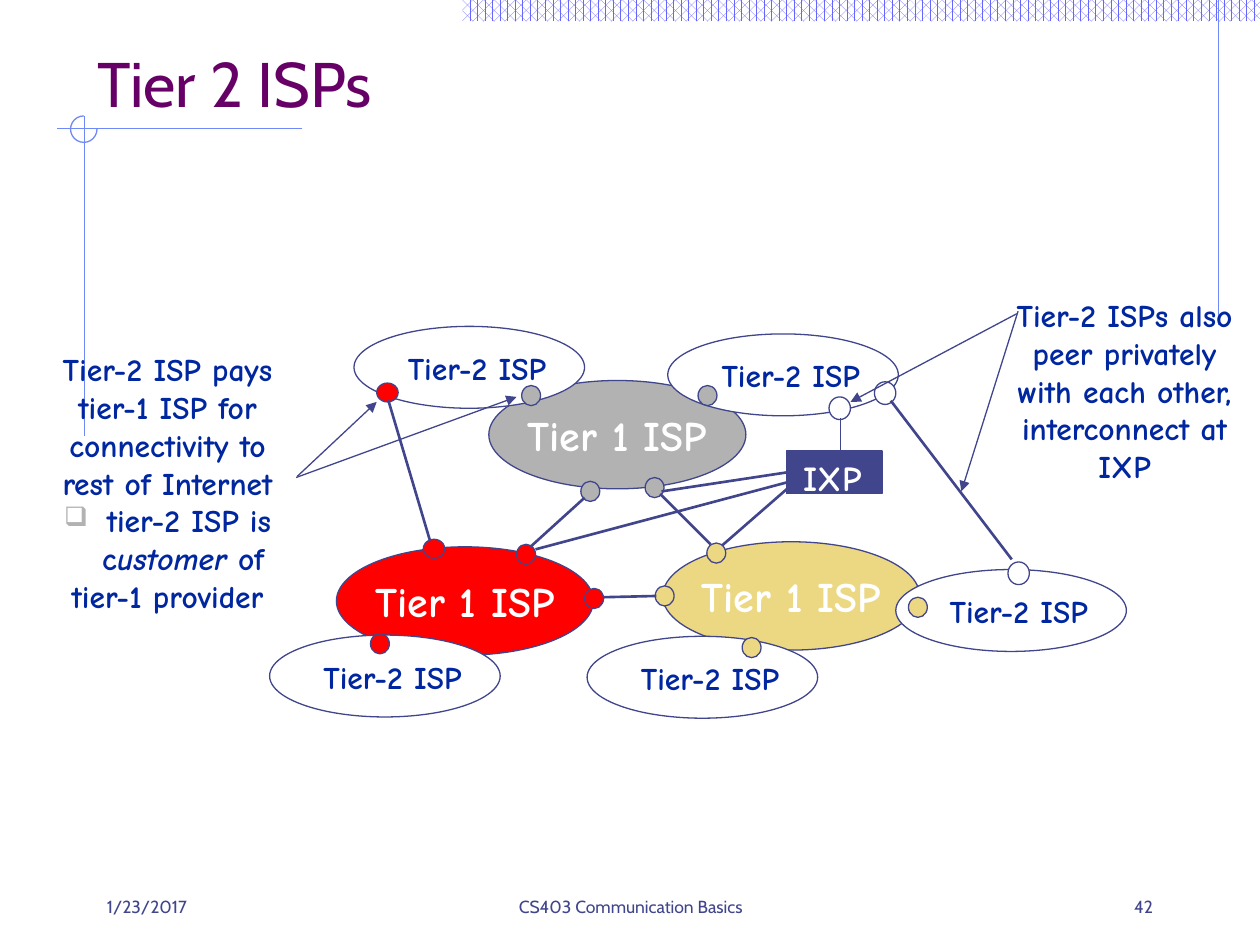
from lxml.etree import SubElement
from pptx import Presentation
from pptx.dml.color import RGBColor
from pptx.enum.dml import MSO_PATTERN
from pptx.enum.shapes import MSO_CONNECTOR, MSO_SHAPE
from pptx.enum.text import MSO_ANCHOR, MSO_AUTO_SIZE, PP_ALIGN
from pptx.oxml.ns import qn
from pptx.util import Inches, Pt

INDIGO = RGBColor(0x40, 0x45, 0x8C)
PERIWINKLE = RGBColor(0x6F, 0x89, 0xF7)
HATCH_BLUE = RGBColor(0x66, 0x66, 0xFF)
PURPLE = RGBColor(0x66, 0x00, 0x66)
NAVY = RGBColor(0x00, 0x27, 0x9F)
RED = RGBColor(0xFF, 0x00, 0x00)
GREY = RGBColor(0xB2, 0xB2, 0xB2)
GOLD = RGBColor(0xEC, 0xD8, 0x82)
WHITE = RGBColor(0xFF, 0xFF, 0xFF)

SANS, COMIC = "Cabin", "Comic Neue"
SMALL_DOT, WIDE_DOT, PEER_DOT = (0.15, 0.16), (0.17, 0.15), (0.17, 0.18)


def add_run(p, text, size, color, font=COMIC, bold=True, italic=False):
    r = p.add_run()
    r.text = text
    r.font.name, r.font.size = font, Pt(size)
    r.font.bold, r.font.italic = bold, italic
    r.font.color.rgb = color


def add_shape(s, kind, box, fill=None, line=INDIGO):
    sp = s.shapes.add_shape(kind, *map(Inches, box))
    sp.shadow.inherit = False
    if fill is None:
        sp.fill.background()
    else:
        sp.fill.solid()
        sp.fill.fore_color.rgb = fill
    sp.line.color.rgb = line
    sp.line.width = Pt(0.75)
    return sp


def add_dot(s, left, top, size, fill):
    add_shape(s, MSO_SHAPE.OVAL, (left, top, *size), fill)


def add_line(s, start, end, width=0.75, color=INDIGO, arrow=False):
    points = map(Inches, (*start, *end))
    line = s.shapes.add_connector(MSO_CONNECTOR.STRAIGHT, *points)
    line.line.color.rgb = color
    line.line.width = Pt(width)
    if arrow:
        SubElement(line.line._get_or_add_ln(), qn("a:tailEnd"), type="triangle")
    SubElement(line._element.spPr, qn("a:effectLst"))
    return line


def add_text_box(s, box, align=PP_ALIGN.CENTER, wrap=True, grow=True):
    tf = s.shapes.add_textbox(*map(Inches, box)).text_frame
    tf.word_wrap = wrap
    tf.auto_size = MSO_AUTO_SIZE.SHAPE_TO_FIT_TEXT if grow else MSO_AUTO_SIZE.NONE
    tf.paragraphs[0].alignment = align
    return tf


def add_bullet(p):
    pPr = p._p.get_or_add_pPr()
    pPr.set("marL", str(Inches(0.25)))
    pPr.set("indent", str(Inches(-0.25)))
    color = SubElement(pPr, qn("a:buClr"))
    SubElement(color, qn("a:srgbClr"), val=str(GREY))
    SubElement(pPr, qn("a:buSzPct"), val="85000")
    SubElement(pPr, qn("a:buChar"), char="❑")


def add_tier1(s, left, top, fill):
    sp = add_shape(s, MSO_SHAPE.OVAL, (left, top, 2.04, 0.86), fill)
    tf = sp.text_frame
    tf.word_wrap = False
    tf.vertical_anchor = MSO_ANCHOR.MIDDLE
    p = tf.paragraphs[0]
    p.alignment = PP_ALIGN.CENTER
    add_run(p, "Tier 1 ISP", 24, WHITE)


def add_tier2(s, left, top):
    add_shape(s, MSO_SHAPE.OVAL, (left, top, 1.83, 0.65), WHITE)
    tf = add_text_box(s, (left + 0.24, top + 0.13, 1.47, 0.4), wrap=False)
    add_run(tf.paragraphs[0], "Tier-2 ISP", 18, NAVY)


def add_decoration(s):
    band = add_shape(s, MSO_SHAPE.RECTANGLE, (3.67, 0, 6.33, 0.17))
    band.fill.patterned()
    band.fill.pattern = MSO_PATTERN.PERCENT_60
    band.fill.fore_color.rgb = HATCH_BLUE
    band.fill.back_color.rgb = WHITE
    band.line.fill.background()
    for start, end in (((9.67, 0), (9.67, 2.58)),
                       ((2.4, 1.02), (0.45, 1.02)),
                       ((0.67, 0.92), (0.67, 3.46))):
        add_line(s, start, end, color=PERIWINKLE)
    arc = add_shape(s, MSO_SHAPE.ARC, (0.56, 0.92, 0.21, 0.21), line=PERIWINKLE)
    arc.adjustments[0], arc.adjustments[1] = 0, 162  # clockwise from right to top


def add_title(s):
    title = s.shapes.title
    title.left, title.top, title.width, title.height = map(
        Inches, (0.67, 0.25, 9, 0.75))
    tf = title.text_frame
    tf.vertical_anchor = MSO_ANCHOR.BOTTOM
    tf.paragraphs[0].alignment = PP_ALIGN.LEFT
    add_run(tf.paragraphs[0], "Tier 2 ISPs", 36, PURPLE, SANS, bold=False)


def add_footer(s):
    for text, left, width, align in (
            ("1/23/2017", 0.75, 2.08, PP_ALIGN.LEFT),
            ("CS403 Communication Basics", 3.42, 3.17, PP_ALIGN.CENTER),
            ("42", 7.17, 2.08, PP_ALIGN.RIGHT)):
        tf = add_text_box(s, (left, 7, width, 0.33), align, grow=False)
        tf.vertical_anchor = MSO_ANCHOR.BOTTOM
        add_run(tf.paragraphs[0], text, 10, INDIGO, SANS, bold=False)


def add_backbone(s):
    """Tier-1 providers with their peering links and the exchange point."""
    for left, top, fill in ((2.67, 4.34, RED), (3.88, 3.02, GREY), (5.26, 4.3, GOLD)):
        add_tier1(s, left, top, fill)
    for left, top, fill in ((5.61, 4.31, GOLD), (5.12, 3.79, GREY),
                            (4.61, 3.82, GREY), (4.1, 4.32, RED),
                            (4.64, 4.67, RED), (5.2, 4.65, GOLD)):
        add_dot(s, left, top, SMALL_DOT, fill)
    for start, end in (((4.79, 4.74), (5.21, 4.73)),
                       ((5.24, 3.92), (5.64, 4.32)),
                       ((4.21, 4.34), (4.64, 3.95))):
        add_line(s, start, end, 1.5)

    ixp = add_shape(s, MSO_SHAPE.RECTANGLE, (6.24, 3.58, 0.76, 0.34), INDIGO)
    tf = add_text_box(s, (6.25, 3.57, 0.71, 0.44), wrap=False)
    add_run(tf.paragraphs[0], "IXP", 20, WHITE)
    add_line(s, (6.27, 3.86), (5.73, 4.33), 1.5)
    add_line(s, (6.24, 3.75), (5.25, 3.9), 1.5).begin_connect(ixp, 1)
    add_line(s, (6.24, 3.83), (4.25, 4.36), 1.5)


def add_customers(s):
    """Tier-2 providers, each with the dot that joins it to its tier-1 provider."""
    for left, top, dot_left, dot_top, fill in (
            (5.3, 2.65, 5.54, 3.06, GREY), (2.81, 2.59, 4.14, 3.06, GREY),
            (2.14, 5.04, 2.94, 5.03, RED), (4.66, 5.05, 5.89, 5.06, GOLD),
            (7.11, 4.52, 7.21, 4.74, GOLD)):
        add_tier2(s, left, top)
        add_dot(s, dot_left, dot_top, SMALL_DOT, fill)
    add_dot(s, 2.99, 3.04, WIDE_DOT, RED)
    add_line(s, (3.08, 3.17), (3.43, 4.35), 1.5)
    add_dot(s, 3.36, 4.28, WIDE_DOT, RED)


def add_customer_note(s):
    tf = add_text_box(s, (0.21, 2.73, 2.24, 2.2))
    add_run(tf.paragraphs[0], "Tier-2 ISP pays tier-1 ISP for connectivity to "
            "rest of Internet", 18, NAVY)
    p = tf.add_paragraph()
    p.alignment = PP_ALIGN.CENTER
    add_bullet(p)
    for text, italic in ((" tier-2 ISP is c", False), ("ustomer", True), (" of", False)):
        add_run(p, text, 18, NAVY, italic=italic)
    p = tf.add_paragraph()
    p.alignment = PP_ALIGN.CENTER
    add_run(p, "tier-1 provider", 18, NAVY)
    add_line(s, (2.35, 3.79), (4.1, 3.15), arrow=True)
    add_line(s, (2.36, 3.78), (2.99, 3.19), arrow=True)


def add_peering_note(s):
    for left, top in ((6.94, 3.03), (8, 4.46), (6.58, 3.15)):
        add_dot(s, left, top, PEER_DOT, WHITE)
    tf = add_text_box(s, (7.94, 2.3, 1.97, 1.9))
    add_run(tf.paragraphs[0], "Tier-2 ISPs also peer privately with each other, "
            "interconnect at IXP", 18, NAVY)
    add_line(s, (7.07, 3.18), (8.03, 4.44), 1.5)
    add_line(s, (6.67, 3.32), (6.67, 3.58))
    add_line(s, (8.08, 2.47), (7.63, 3.9), arrow=True)
    add_line(s, (8.07, 2.49), (6.75, 3.19), arrow=True)


def main():
    prs = Presentation()
    prs.slide_width, prs.slide_height = Inches(10), Inches(7.5)
    s = prs.slides.add_slide(prs.slide_layouts[5])
    for add_part in (add_decoration, add_footer, add_title, add_backbone,
                     add_customers, add_customer_note, add_peering_note):
        add_part(s)
    prs.save("out.pptx")


if __name__ == "__main__":
    main()
